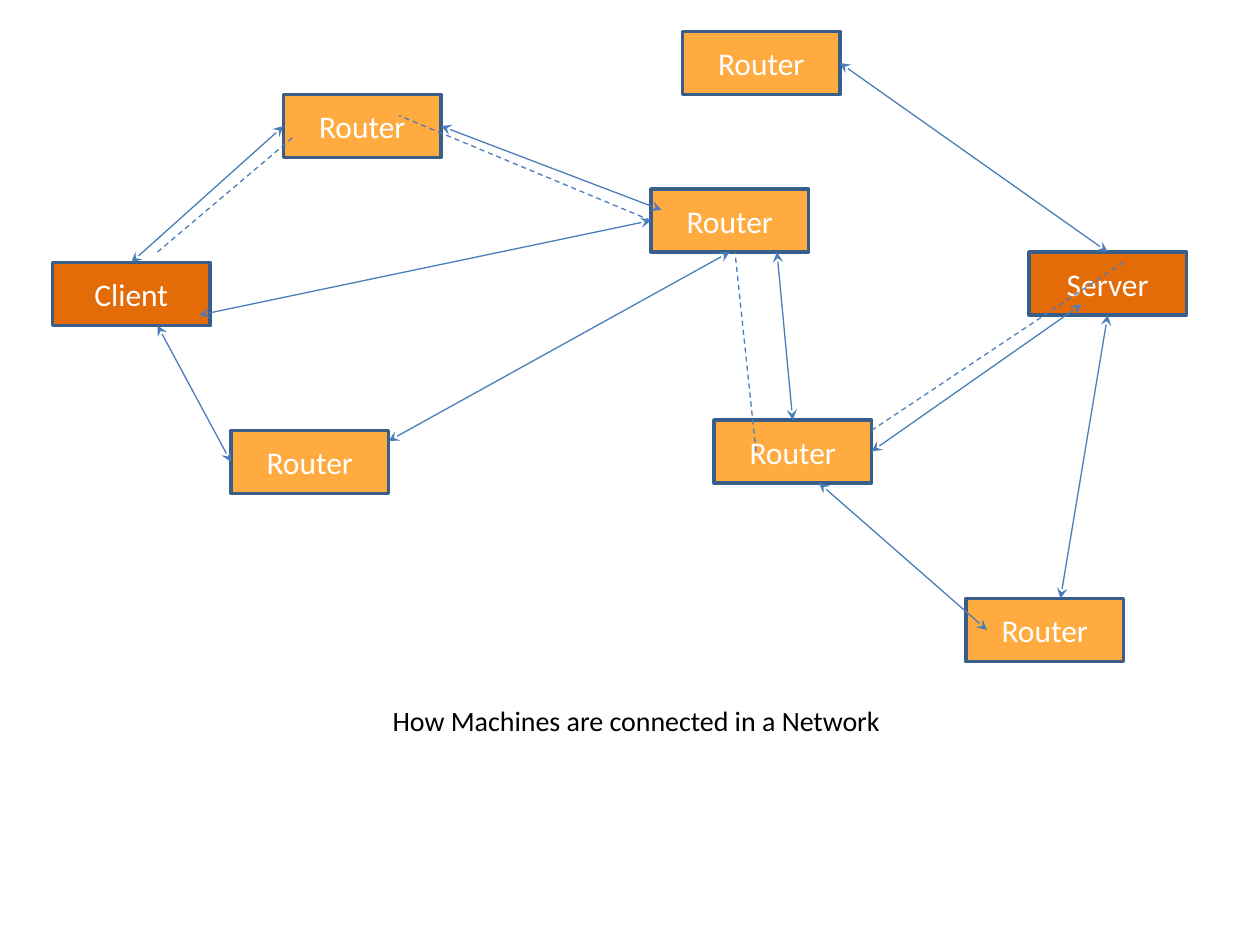
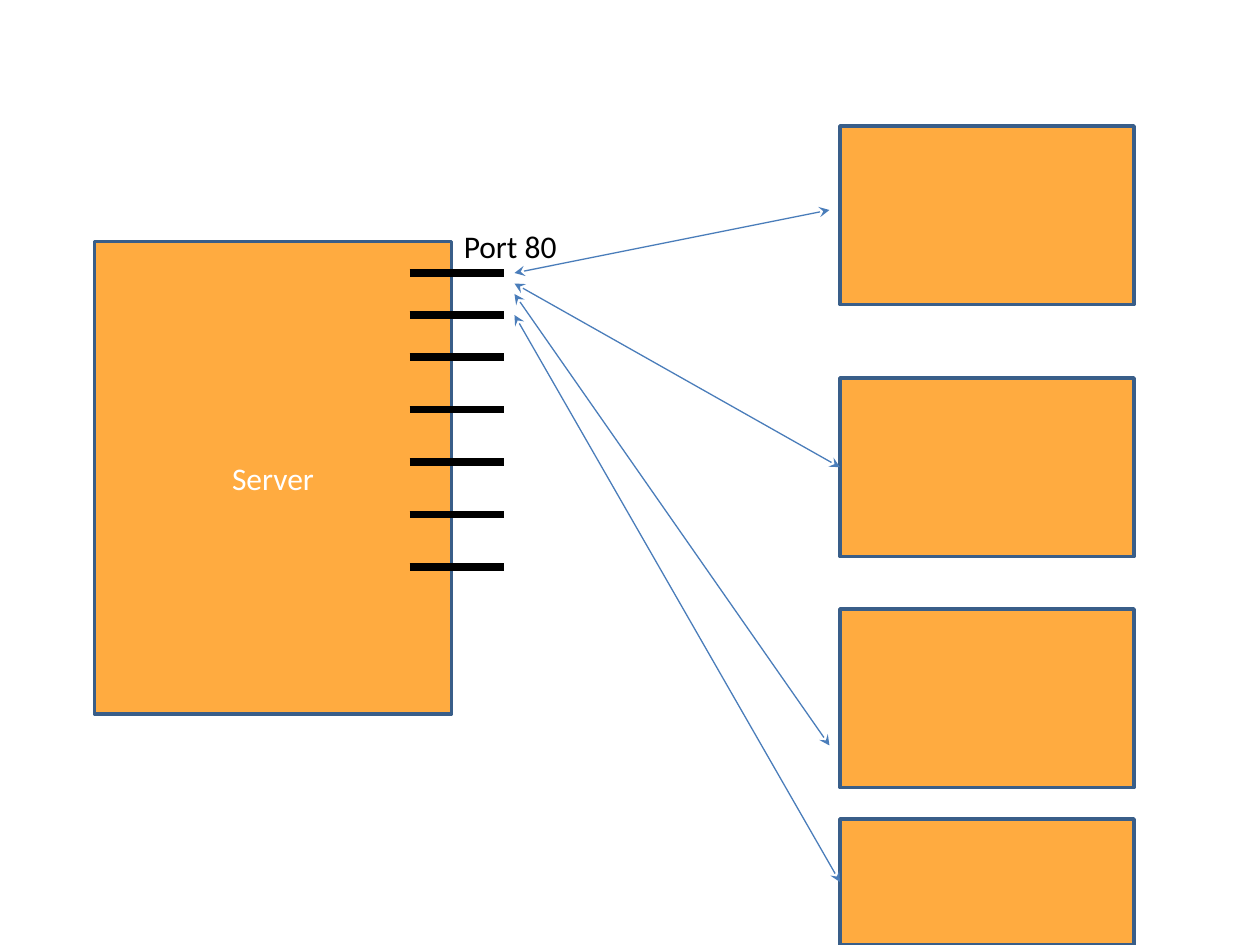
from pptx import Presentation
from pptx.dml.color import RGBColor
from pptx.enum.dml import MSO_LINE
from pptx.enum.shapes import MSO_CONNECTOR, MSO_SHAPE
from pptx.enum.text import MSO_ANCHOR, PP_ALIGN
from pptx.oxml.ns import qn
from pptx.util import Cm, Pt
from lxml.etree import SubElement

COLORS = {
    "endpoint": "E36C09",
    "machine": "FFAB40",
    "outline": "395E89",
    "link": "4A7DBA",
    "light": "FFFFFF",
    "dark": "000000",
}
FONT = "Calibri"
GRID = Cm(2.54) / 12


def write_text(shape, text, size=18, color="dark", align=PP_ALIGN.LEFT,
               anchor=MSO_ANCHOR.TOP, margin=0.13):
    frame = shape.text_frame
    frame.word_wrap = True
    frame.vertical_anchor = anchor
    frame.margin_left = frame.margin_right = Cm(0.25)
    frame.margin_top = frame.margin_bottom = Cm(margin)
    paragraph = frame.paragraphs[0]
    paragraph.alignment = align
    run = paragraph.add_run()
    run.text = text
    run.font.name = FONT
    run.font.size = Pt(size)
    run.font.color.rgb = RGBColor.from_string(COLORS[color])


def add_line(slide, points, color="link", width=0.75, dashed=False, arrows=False):
    ends = [round(value * GRID) for value in points]
    connector = slide.shapes.add_connector(MSO_CONNECTOR.STRAIGHT, *ends)
    connector.line.color.rgb = RGBColor.from_string(COLORS[color])
    connector.line.width = Pt(width)
    if dashed:
        connector.line.dash_style = MSO_LINE.DASH
    properties = connector.line._get_or_add_ln()
    if arrows:
        for end in ("a:headEnd", "a:tailEnd"):
            SubElement(properties, qn(end), type="stealth")
    SubElement(connector._element.spPr, qn("a:effectLst"))


presentation = Presentation()
presentation.slide_width = Cm(25.4)
presentation.slide_height = Cm(19.05)
network = presentation.slides.add_slide(presentation.slide_layouts[5])
ports = presentation.slides.add_slide(presentation.slide_layouts[6])

# Positions are counted in grid steps of a twelfth of an inch.
boxes = [
    (network, "Client", "endpoint", 5, 25, 15, 6),
    (network, "Server", "endpoint", 98, 24, 15, 6),
    (ports, "Server", "machine", 9, 23, 34, 45),
]
for left, top in [(65, 3), (92, 57), (22, 41), (68, 40), (62, 18), (27, 9)]:
    boxes.append((network, "Router", "machine", left, top, 15, 6))
for top, height in [(12, 17), (36, 17), (58, 17), (78, 12)]:
    boxes.append((ports, "", "machine", 80, top, 28, height))

for slide, label, fill, *frame in boxes:
    shape = slide.shapes.add_shape(
        MSO_SHAPE.RECTANGLE, *[round(value * GRID) for value in frame])
    shape.shadow.inherit = False
    shape.fill.solid()
    shape.fill.fore_color.rgb = RGBColor.from_string(COLORS[fill])
    shape.line.color.rgb = RGBColor.from_string(COLORS["outline"])
    shape.line.width = Pt(2)
    if label:
        write_text(shape, label, color="light", align=PP_ALIGN.CENTER,
                   anchor=MSO_ANCHOR.MIDDLE)

network_links = [
    (12.5, 25, 27, 12),
    (42, 12, 63, 20),
    (19, 30, 62, 21),
    (37, 42, 69.5, 24),
    (15, 31, 22, 44),
    (74, 24, 75.5, 40),
    (83, 43, 103, 29),
    (80, 6, 105.5, 24),
    (78, 46, 94, 60),
    (105.5, 30, 101, 57),
]
for link in network_links:
    add_line(network, link, arrows=True)

route = [
    (15, 24, 28, 13),
    (62, 21, 38, 11),
    (72, 43, 70, 24),
    (83, 41, 107, 25),
]
for hop in route:
    add_line(network, hop, dashed=True)

caption = network.shapes.title
caption.left, caption.top = Cm(1.73), Cm(13.94)
caption.width, caption.height = Cm(22.2), Cm(1.96)
write_text(caption, "How Machines are connected in a Network", size=16,
           align=PP_ALIGN.CENTER, margin=0.25)

for y in (26, 30, 34, 39, 44, 49, 54):
    add_line(ports, (39, y, 48, y), color="dark", width=4.5)

port_label = ports.shapes.add_textbox(Cm(9.1), Cm(4.45), Cm(3.18), Cm(1.02))
write_text(port_label, "Port 80")

client_links = [
    (49, 26, 79, 20),
    (49, 27, 80, 44.5),
    (49, 28, 79, 71),
    (49, 30, 80, 84),
]
for link in client_links:
    add_line(ports, link, arrows=True)

presentation.save("out.pptx")
